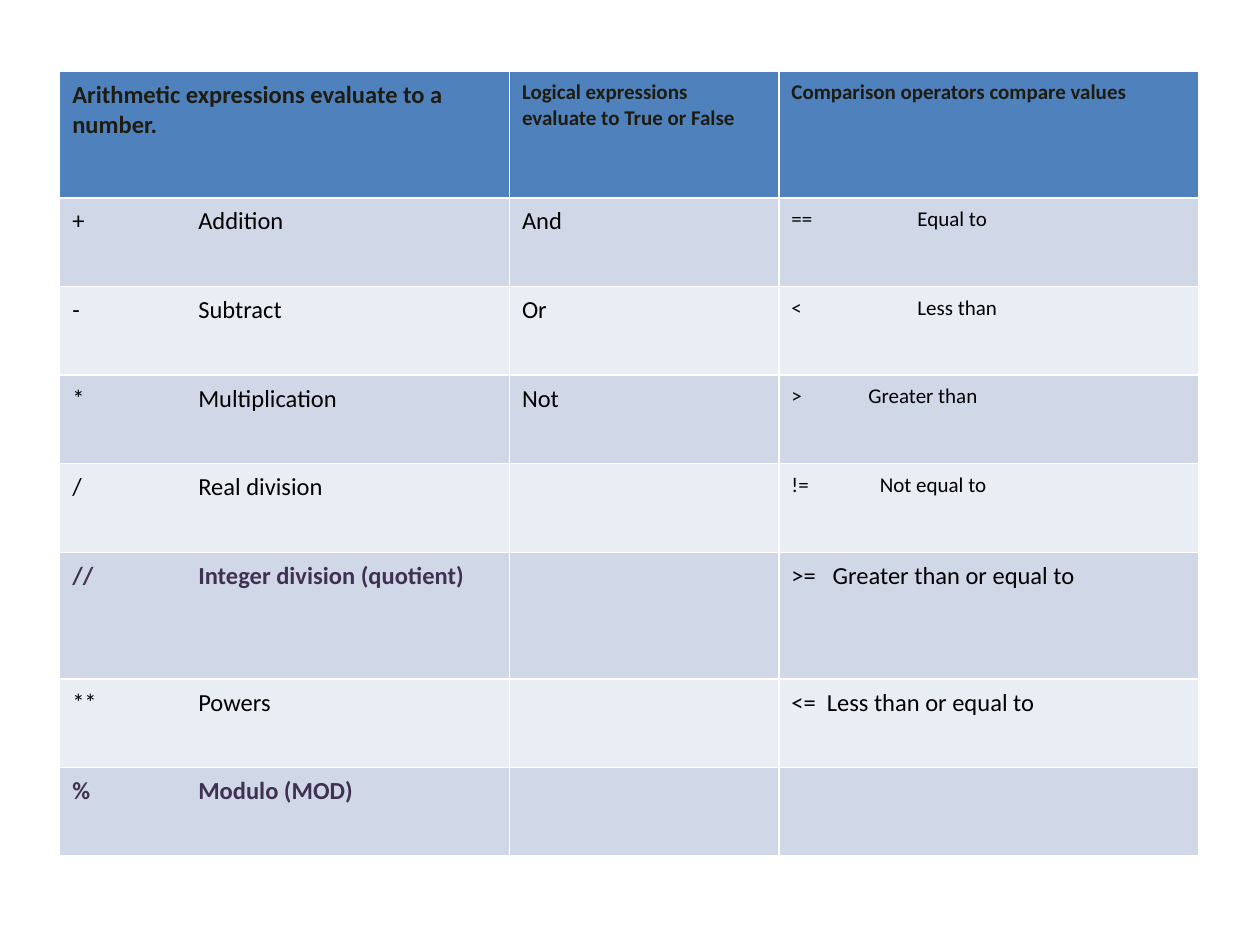
import pptx
import pptx.dml.color
import pptx.oxml
import pptx.oxml.ns
import pptx.util

Pt = pptx.util.Pt
RGB = pptx.dml.color.RGBColor.from_string

THEME = {
    "font": "Calibri",
    "large": 14,
    "small": 12,
    "header_fill": "4F81BD",
    "header_text": "1E1C11",
    "bands": ["D0D8E8", "E9EDF4"],
    "body_text": "000000",
    "accent_text": "403152",
    "border": "FFFFFF",
    "border_width": 1,
}
LARGE, SMALL = THEME["large"], THEME["small"]
HEADER_HEIGHT, ROW_HEIGHT = 72.4, 50.63
COLUMN_WIDTHS = [257, 154, 240]
CELL_MARGINS = {"margin_left": Pt(7.2), "margin_right": Pt(7.2),
                "margin_top": Pt(5), "margin_bottom": Pt(5)}
TAB = 72

headings = [
    ("Arithmetic expressions evaluate to a number.", LARGE),
    ("Logical expressions evaluate to True or False", SMALL),
    ("Comparison operators compare values", SMALL),
]
arithmetic = [
    ("+\tAddition", False), ("-\tSubtract", False),
    ("*\tMultiplication", False), ("/\tReal division", False),
    ("//\tInteger division (quotient)", True), ("**\tPowers", False),
    ("%\tModulo (MOD)", True),
]
logical = ["And", "Or", "Not", "", "", "", ""]
comparison = [
    ("==\tEqual to", SMALL, TAB), ("<\tLess than", SMALL, TAB),
    (">\tGreater than", SMALL, 44), ("!=\tNot equal to", SMALL, 50.5),
    (">=\tGreater than or equal to", LARGE, 23.5),
    ("<=\tLess than or equal to", LARGE, 20.2), ("", LARGE, TAB),
]


def style_cell(cell, fill):
    """Set the margins, fill and four borders of a cell."""
    for name, value in CELL_MARGINS.items():
        setattr(cell, name, value)
    cell.fill.solid()
    cell.fill.fore_color.rgb = RGB(fill)
    properties = cell._tc.get_or_add_tcPr()
    for position, side in enumerate(["lnL", "lnR", "lnT", "lnB"]):
        properties.insert(position, pptx.oxml.parse_xml(
            f'<a:{side} {pptx.oxml.ns.nsdecls("a")} w="{Pt(THEME["border_width"])}">'
            f'<a:solidFill><a:srgbClr val="{THEME["border"]}"/></a:solidFill></a:{side}>'))


def write_cell(cell, text, size, color, bold=False, tab=TAB):
    """Write one run, with a tab stop between operator and meaning."""
    paragraph = cell.text_frame.paragraphs[0]
    if "\t" in text:
        paragraph._p.get_or_add_pPr().append(pptx.oxml.parse_xml(
            f'<a:tabLst {pptx.oxml.ns.nsdecls("a")}>'
            f'<a:tab pos="{Pt(tab)}" algn="l"/></a:tabLst>'))
    run = paragraph.add_run()
    run.text = text
    for name, value in {"name": THEME["font"], "size": Pt(size), "bold": bold}.items():
        setattr(run.font, name, value)
    run.font.color.rgb = RGB(color)


deck = pptx.Presentation()
deck.slide_width, deck.slide_height = Pt(720), Pt(540)
slide = deck.slides.add_slide(deck.slide_layouts[6])

row_heights = [HEADER_HEIGHT] + [ROW_HEIGHT] * len(arithmetic)
row_heights[5] = HEADER_HEIGHT
operators = slide.shapes.add_table(
    len(row_heights), len(COLUMN_WIDTHS), Pt(34.1), Pt(40.7),
    Pt(sum(COLUMN_WIDTHS)), Pt(sum(row_heights))).table
operators.first_row = operators.horz_banding = False
for column, width in zip(operators.columns, COLUMN_WIDTHS):
    column.width = Pt(width)
for index, height in enumerate(row_heights):
    operators.rows[index].height = Pt(height)
    fill = THEME["bands"][(index - 1) % 2] if index else THEME["header_fill"]
    for cell in operators.rows[index].cells:
        style_cell(cell, fill)

for column, (heading, size) in enumerate(headings):
    write_cell(operators.cell(0, column), heading, size, THEME["header_text"], bold=True)

for row, (sum_sign, word, relation) in enumerate(zip(arithmetic, logical, comparison), 1):
    text, accented = sum_sign
    color = THEME["accent_text"] if accented else THEME["body_text"]
    write_cell(operators.cell(row, 0), text, LARGE, color, bold=accented)
    if word:
        write_cell(operators.cell(row, 1), word, LARGE, THEME["body_text"])
    text, size, tab = relation
    if text:
        write_cell(operators.cell(row, 2), text, size, THEME["body_text"], tab=tab)

deck.save("out.pptx")
